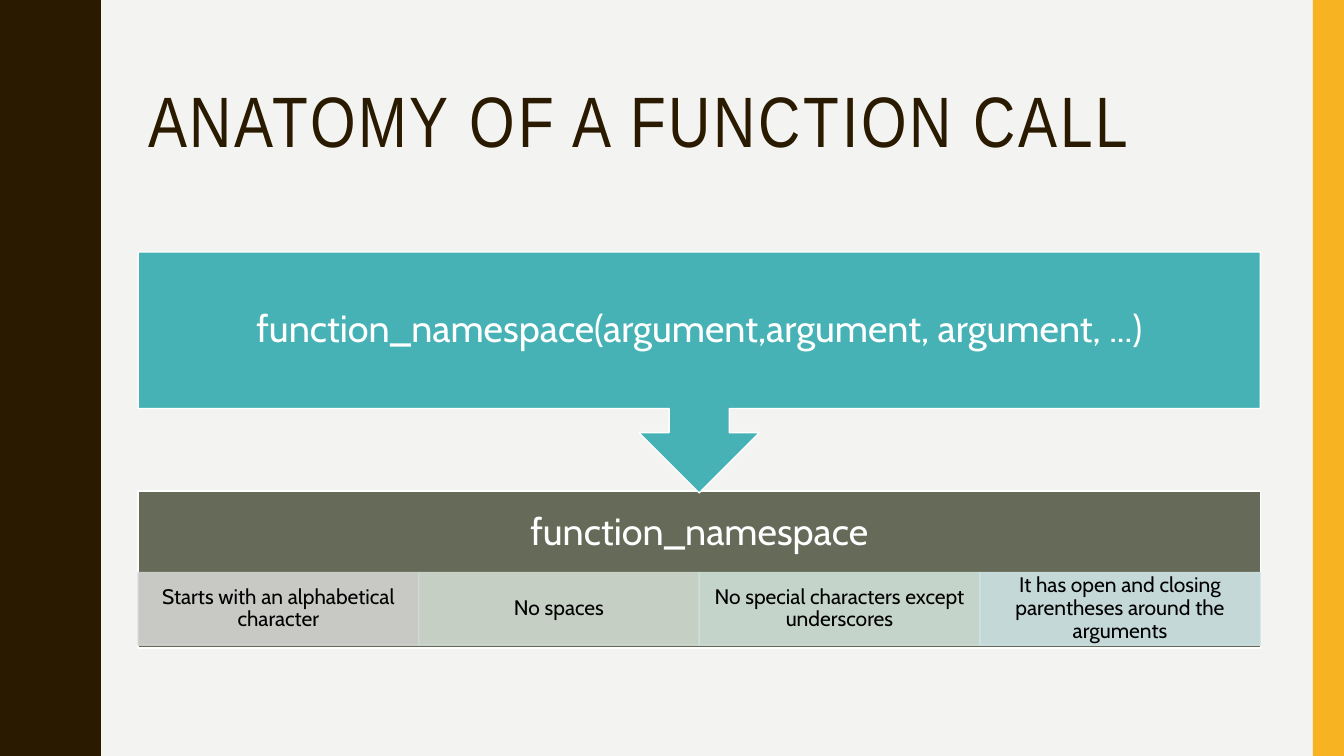
from lxml.etree import SubElement
from pptx import Presentation
from pptx.dml.color import RGBColor
from pptx.enum.shapes import MSO_SHAPE
from pptx.enum.text import MSO_ANCHOR, MSO_AUTO_SIZE, PP_ALIGN
from pptx.oxml.ns import qn
from pptx.util import Inches, Pt

PAPER = RGBColor(0xF3, 0xF3, 0xF2)
BROWN = RGBColor(0x2A, 0x1A, 0x00)
YELLOW = RGBColor(0xF8, 0xB3, 0x23)
TEAL = RGBColor(0x46, 0xB2, 0xB5)
OLIVE = RGBColor(0x65, 0x6A, 0x59)
WHITE = RGBColor(0xFF, 0xFF, 0xFF)
BLACK = RGBColor(0x00, 0x00, 0x00)

SLIDE_WIDTH, SLIDE_HEIGHT = 13.33, 7.5
LEFT, WIDTH = 1.37, 11.13
RULE_TOP, RULE_HEIGHT = 5.68, 0.72
NAME_TOP, NAME_HEIGHT = 4.87, 1.56

RULES = [
    ("Starts with an alphabetical character", RGBColor(0xD3, 0xD4, 0xD1)),
    ("No spaces", RGBColor(0xD1, 0xDA, 0xD0)),
    ("No special characters except underscores", RGBColor(0xCF, 0xE0, 0xD7)),
    ("It has open and closing parentheses around the arguments",
     RGBColor(0xCF, 0xE4, 0xE5)),
]

WAVE_LENGTH = 1.5
HALF_WAVE = [
    (0.78, 0), (0.78, 0.07), (0.79, 0.14), (0.8, 0.2), (0.81, 0.25),
    (0.83, 0.29), (0.85, 0.33), (0.87, 0.38), (0.89, 0.42), (0.91, 0.46),
    (0.93, 0.5), (0.95, 0.55), (0.96, 0.61), (0.97, 0.68), (0.97, 0.75),
]

HEADING = {"size": Pt(27), "name": "Cabin"}
DETAIL = {"size": Pt(15), "name": "Cabin"}


def set_attributes(target, values):
    for name, value in values.items():
        setattr(target, name, value)


def paint(shape, color, line_color=None):
    shape.shadow.inherit = False
    shape.fill.solid()
    shape.fill.fore_color.rgb = color
    if line_color is None:
        shape.line.fill.background()
    else:
        shape.line.color.rgb = line_color
        shape.line.width = Pt(1)


def set_opacity(shape, percent):
    """Apply the opacity to both the fill and the line."""
    for color in shape._element.spPr.iter(qn("a:srgbClr")):
        SubElement(color, qn("a:alpha"), val=str(percent * 1000))


def write(shape, text, font, color, align=PP_ALIGN.CENTER, margins=None):
    frame = shape.text_frame
    set_attributes(frame, {
        "word_wrap": True,
        "auto_size": MSO_AUTO_SIZE.NONE,
        "vertical_anchor": MSO_ANCHOR.MIDDLE,
    })
    for side, inches in (margins or {}).items():
        setattr(frame, f"margin_{side}", Inches(inches))
    paragraph = frame.paragraphs[0]
    set_attributes(paragraph, {"alignment": align, "line_spacing": 0.9})
    run = paragraph.add_run()
    run.text = text
    set_attributes(run.font, font)
    run.font.color.rgb = color
    return run


def add_block(slide, preset, left, top, width, height, color, line_color=None):
    shape = slide.shapes.add_shape(
        preset, Inches(left), Inches(top), Inches(width), Inches(height))
    paint(shape, color, line_color)
    return shape


def add_wavy_edge(slide):
    mirrored = [(x, WAVE_LENGTH - y) for x, y in reversed(HALF_WAVE[:-1])]
    wave = HALF_WAVE + mirrored[:-1]
    count = round(SLIDE_HEIGHT / WAVE_LENGTH)
    points = [(x, y + index * WAVE_LENGTH)
              for index in range(count) for x, y in wave]
    points += [(HALF_WAVE[0][0], SLIDE_HEIGHT), (0, SLIDE_HEIGHT)]
    builder = slide.shapes.build_freeform(0, 0, scale=Inches(1))
    builder.add_line_segments(points, close=True)
    paint(builder.convert_to_shape(), BROWN)


def add_title(slide, text):
    title = slide.shapes.title
    set_attributes(title, {
        "left": Inches(LEFT), "top": Inches(0.42),
        "width": Inches(WIDTH), "height": Inches(1.63),
    })
    run = write(title, text, {"size": Pt(51), "name": "Arial Narrow"},
                BROWN, PP_ALIGN.LEFT)
    run.font._element.set("spc", "200")


def add_call(slide, text):
    callout = add_block(slide, MSO_SHAPE.DOWN_ARROW_CALLOUT,
                        LEFT, 2.5, WIDTH, 2.39, TEAL, WHITE)
    write(callout, text, HEADING, WHITE,
          margins=dict.fromkeys(("left", "top", "right", "bottom"), 0.21))


def add_name_block(slide, text):
    block = add_block(slide, MSO_SHAPE.RECTANGLE,
                      LEFT, NAME_TOP, WIDTH, NAME_HEIGHT, OLIVE, WHITE)
    margins = {"left": 0.21, "top": 0.21, "right": 0.21,
               "bottom": 0.21 + RULE_HEIGHT}
    write(block, text, HEADING, WHITE, margins=margins)


def add_rules(slide):
    width = WIDTH / len(RULES)
    margins = {"left": 0.12, "top": 0.02, "right": 0.12, "bottom": 0.02}
    for index, (text, color) in enumerate(RULES):
        cell = add_block(slide, MSO_SHAPE.RECTANGLE, LEFT + index * width,
                         RULE_TOP, width, RULE_HEIGHT, color, color)
        set_opacity(cell, 90)
        write(cell, text, DETAIL, BLACK, margins=margins)


def main():
    presentation = Presentation()
    presentation.slide_width = Inches(SLIDE_WIDTH)
    presentation.slide_height = Inches(SLIDE_HEIGHT)
    slide = presentation.slides.add_slide(presentation.slide_layouts[5])
    slide.background.fill.solid()
    slide.background.fill.fore_color.rgb = PAPER

    add_wavy_edge(slide)
    add_block(slide, MSO_SHAPE.RECTANGLE, 13.02, 0, 0.31, SLIDE_HEIGHT, YELLOW)
    add_title(slide, "ANATOMY OF A FUNCTION CALL")
    add_name_block(slide, "function_namespace")
    add_rules(slide)
    add_call(slide, "function_namespace(argument,argument, argument, ...)")
    presentation.save("out.pptx")


if __name__ == "__main__":
    main()
